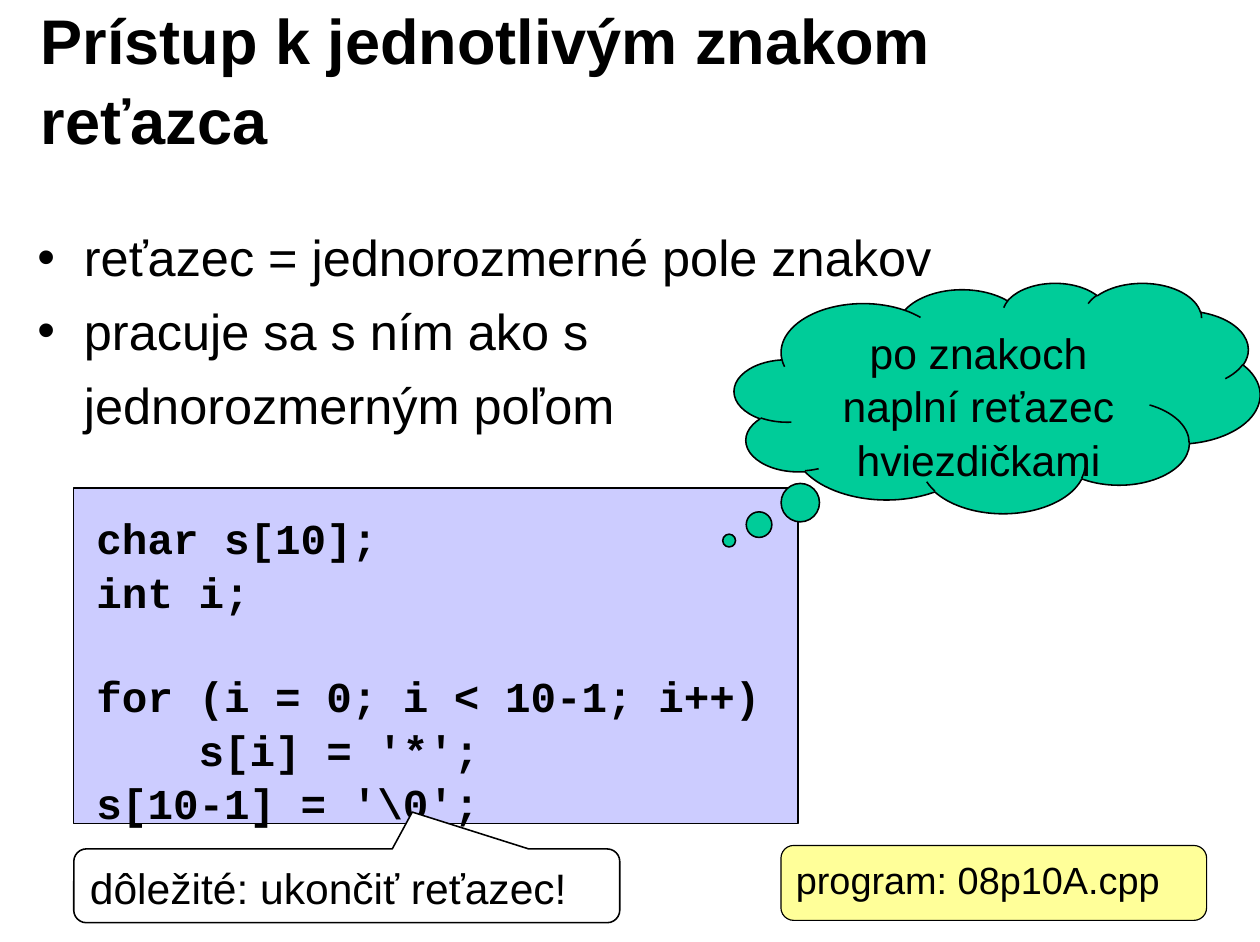
from lxml import etree
from pptx import Presentation
from pptx import util as u
from pptx.dml.color import RGBColor
from pptx.enum import shapes, text
from pptx.oxml.ns import qn

BLACK = RGBColor(0x00, 0x00, 0x00)
WHITE = RGBColor(0xFF, 0xFF, 0xFF)
LAVENDER = RGBColor(0xCC, 0xCC, 0xFF)
GREEN = RGBColor(0x00, 0xCC, 0x99)
YELLOW = RGBColor(0xFF, 0xFF, 0x99)

COLUMNS, ROWS = 111, 83
CELL = u.Inches(0.1)
HANGING = u.Inches(0.41)
LINE_SPACING = 1.05


def write(frame, lines, size=27, font="Arial", bold=False, align=text.PP_ALIGN.LEFT,
          anchor=text.MSO_ANCHOR.TOP, inset=(0.11, 0.06), gaps=None, bullets=None):
    """Fill a frame; gaps maps a line number to points before it, bullets flags each line."""
    frame.word_wrap = True
    frame.vertical_anchor = anchor
    frame.margin_left = frame.margin_right = u.Inches(inset[0])
    frame.margin_top = frame.margin_bottom = u.Inches(inset[1])
    for number, line in enumerate(lines):
        paragraph = frame.add_paragraph() if number else frame.paragraphs[0]
        if bullets:
            indent(paragraph, bullets[number])
        paragraph.alignment = align
        paragraph.line_spacing = LINE_SPACING
        paragraph.space_before = u.Pt((gaps or {}).get(number, 0))
        run = paragraph.add_run()
        run.text = line
        run.font.name = font
        run.font.size = u.Pt(size)
        run.font.bold = bold
        run.font.color.rgb = BLACK


def indent(paragraph, bulleted):
    properties = paragraph._p.get_or_add_pPr()
    properties.set("marL", str(HANGING))
    properties.set("indent", str(-HANGING if bulleted else 0))
    if bulleted:
        etree.SubElement(properties, qn("a:buFont"), typeface="Arial")
        etree.SubElement(properties, qn("a:buChar"), char="•")
    else:
        etree.SubElement(properties, qn("a:buNone"))


class GridSlide:
    def __init__(self, deck):
        deck.slide_width, deck.slide_height = COLUMNS * CELL, ROWS * CELL
        self.slide = deck.slides.add_slide(deck.slide_layouts[6])

    def place(self, cells):
        return [u.Emu(round(cell * CELL)) for cell in cells]

    def text(self, cells, lines, **style):
        write(self.slide.shapes.add_textbox(*self.place(cells)).text_frame, lines, **style)

    def panel(self, kind, cells, fill, lines=(), adjust=(), border=1, **style):
        panel = self.slide.shapes.add_shape(kind, *self.place(cells))
        panel.shadow.inherit = False
        panel.fill.solid()
        panel.fill.fore_color.rgb = fill
        panel.line.color.rgb = BLACK
        panel.line.width = u.Pt(border)
        for number, value in enumerate(adjust):
            panel.adjustments[number] = value
        write(panel.text_frame, lines, **style)


def main():
    deck = Presentation()
    page = GridSlide(deck)
    kinds = shapes.MSO_SHAPE

    page.text((2.5, 1.7, 89.1, 10.2), ["Prístup k jednotlivým znakom reťazca"],
              size=40, bold=True, anchor=text.MSO_ANCHOR.MIDDLE)
    page.text((2.2, 19.1, 106.6, 13.2),
              ["reťazec = jednorozmerné pole znakov",
               "pracuje sa s ním ako s",
               "jednorozmerným poľom"],
              size=32, gaps={1: 6.4, 2: 6.4}, bullets=(True, True, False))

    page.panel(kinds.RECTANGLE, (6.5, 43, 63.8, 29.6), LAVENDER, border=0.75)
    page.text((7.4, 44.3, 61.5, 28.4),
              ["char s[10];",
               "int i;",
               "for (i = 0; i < 10-1; i++)",
               "    s[i] = '*';",
               "s[10-1] = '\\0';"],
              font="Courier New", bold=True, gaps={2: 32})

    page.panel(kinds.CLOUD_CALLOUT, (64.7, 24.9, 46.3, 20.3), GREEN,
               ["po znakoch naplní reťazec hviezdičkami"],
               adjust=(-0.51, 0.62), align=text.PP_ALIGN.CENTER)
    page.panel(kinds.ROUNDED_RECTANGULAR_CALLOUT, (6.5, 74.8, 48.1, 6.5), WHITE,
               ["dôležité: ukončiť reťazec!"], adjust=(0.12, -1, 0.17))
    page.panel(kinds.ROUNDED_RECTANGLE, (68.8, 74.5, 37.5, 6.6), YELLOW,
               ["program: 08p10A.cpp"], adjust=(0.17,), border=0.75,
               size=24, inset=(0.1, 0.05))
    deck.save("out.pptx")


if __name__ == "__main__":
    main()
